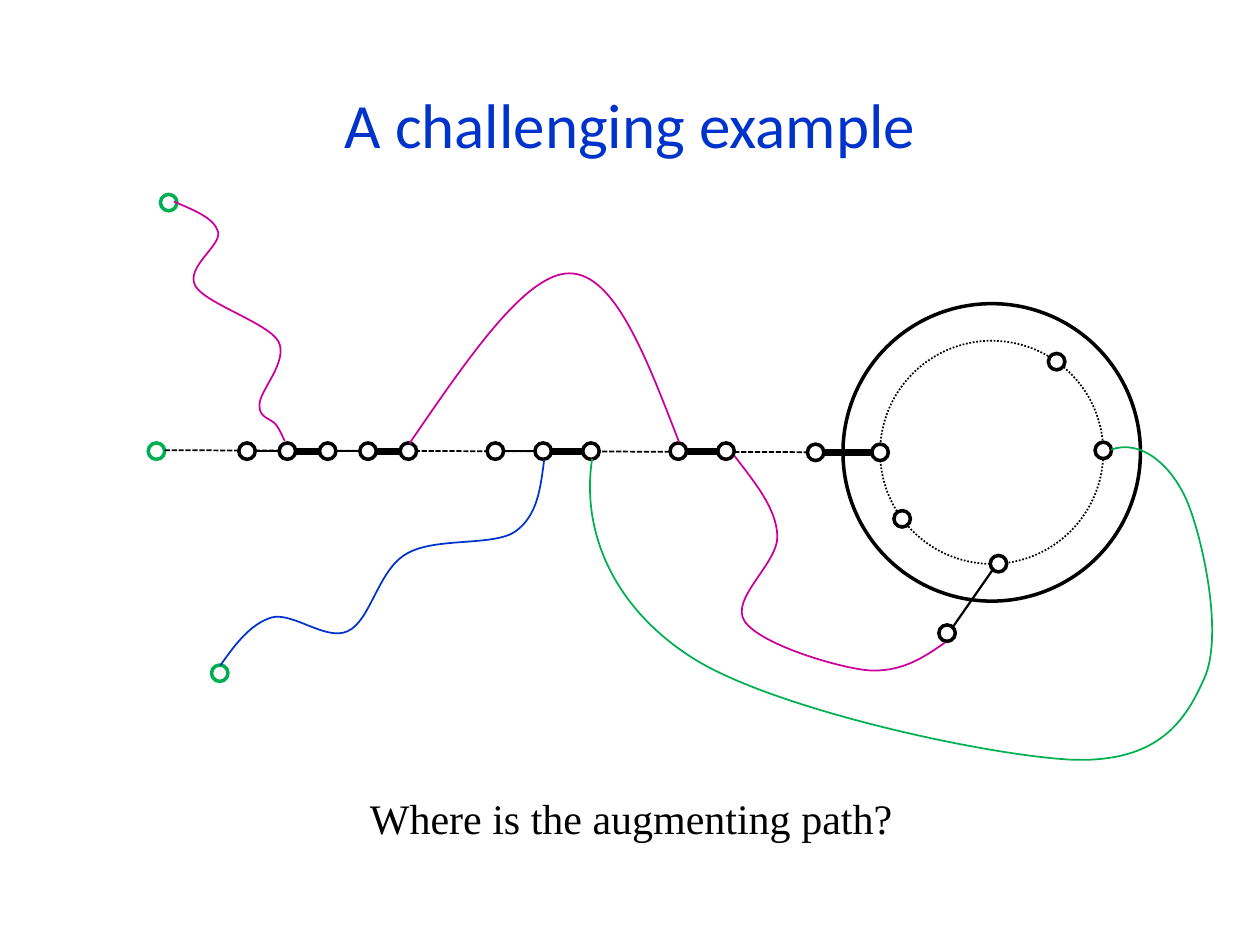
from math import cos, radians, sin

from pptx import Presentation
from pptx import util as u
from pptx.dml.color import RGBColor
from pptx.enum import dml, shapes, text
from pptx.oxml.ns import qn
from pptx.oxml.xmlchemy import OxmlElement

INK = {"black": "000000", "white": "FFFFFF", "blue": "0033CC",
       "green": "00B050", "pink": "CC0099"}
NODE = 9.4
DOT = dml.MSO_LINE.ROUND_DOT
DASH = dml.MSO_LINE.SQUARE_DOT

CURVES = [
    ("pink", [(82.7, 152), (81.3, 149.1), (79.8, 145.5), (77.7, 142.6),
              (74.8, 139), (67.6, 139), (68.3, 131.1),
              (68.3, 123.2), (84.9, 106.6), (79.1, 95.1),
              (72.6, 84.3), (37.4, 73.5), (31.6, 63.4),
              (25.8, 52.6), (46.7, 40.4), (44.6, 32.5),
              (42.4, 24.6), (30.9, 20.2), (19.4, 15.2)]),
    ("pink", [(154, 153.4), (187.1, 105.2), (220.2, 56.2), (245.4, 56.2),
              (271.4, 56.2), (289.4, 104.5), (308.1, 152.7)]),
    ("blue", [(46, 280.2), (54.6, 267.9), (63.3, 256.4), (75.5, 252.8),
              (87.8, 249.9), (106.5, 266.5), (118.7, 260.7),
              (131.7, 255), (136, 226.2), (151.8, 216.8),
              (167.7, 206.7), (201.5, 212.5), (214.5, 203.8),
              (227.4, 194.5), (228.9, 178.6), (231, 162.8)]),
    ("pink", [(460, 267.2), (447.8, 275.8), (434.8, 284.5), (415.4, 283),
              (396.6, 280.9), (354.2, 267.9), (345.5, 255),
              (336.9, 242), (365, 221.8), (364.2, 206),
              (363.5, 190.2), (351.3, 175.8), (339.8, 160.6)]),
    ("green", [(258.4, 162.1), (251.9, 203.8), (270.6, 247.8), (316.7, 276.6),
               (362.8, 305.4), (484.5, 332), (533.4, 334.2),
               (582.4, 335.6), (597.5, 311.8), (608.3, 287.4),
               (619.1, 262.9), (607.6, 209.6), (599, 188),
               (590.3, 166.4), (572.3, 150.6), (555, 157)]),
]


def tint(name):
    """Return the named colour."""
    return RGBColor.from_string(INK[name])


def apply(item, **look):
    """Set attributes of an object from a dict."""
    for key, val in look.items():
        setattr(item, key, val)


def stroke(item, ink, wide, dash=None):
    """Format the line of a shape or connector."""
    item.line.color.rgb = tint(ink)
    apply(item.line, width=u.Pt(wide), dash_style=dash)


def disc(slide, x, y, size, wide=2, ink="black", fill=None, dash=None):
    """Draw a circle round a centre."""
    left, top = x - size / 2, y - size / 2
    item = slide.shapes.add_shape(shapes.MSO_SHAPE.OVAL,
                                  *map(u.Pt, (left, top, size, size)))
    item.shadow.inherit = False
    if fill:
        item.fill.solid()
        item.fill.fore_color.rgb = tint(fill)
    else:
        item.fill.background()
    stroke(item, ink, wide, dash)


def node(slide, x, y, ink="black"):
    """Draw a graph vertex."""
    disc(slide, x, y, NODE, ink=ink, fill="white")


def edge(slide, x1, y1, x2, y2, wide, dash=None):
    """Draw a straight graph edge."""
    item = slide.shapes.add_connector(shapes.MSO_CONNECTOR.STRAIGHT,
                                      *map(u.Pt, (x1, y1, x2, y2)))
    item._element.spPr.append(OxmlElement("a:effectLst"))
    stroke(item, "black", wide, dash)


def curve(slide, box, ink, points):
    """Draw a chain of cubic curves through control points."""
    spots = [(u.Pt(box[0] + x), u.Pt(box[1] + y)) for x, y in points]
    pen = slide.shapes.build_freeform(*spots[0])
    pen.add_line_segments(spots[1:], close=False)
    item = pen.convert_to_shape()
    item.shadow.inherit = False
    item.fill.background()
    stroke(item, ink, 1)
    steps = list(item._element.iter(qn("a:lnTo")))
    for i in range(0, len(steps), 3):
        bend = OxmlElement("a:cubicBezTo")
        steps[i].addprevious(bend)
        for step in steps[i:i + 3]:
            bend.append(step[0])
            step.getparent().remove(step)


def label(item, box, words, face, size, ink):
    """Place and format a centred line of text."""
    apply(item, **dict(zip(("left", "top", "width", "height"), map(u.Pt, box))))
    frame = item.text_frame
    frame.text = words
    apply(frame, word_wrap=True, vertical_anchor=text.MSO_ANCHOR.MIDDLE,
          auto_size=text.MSO_AUTO_SIZE.SHAPE_TO_FIT_TEXT, margin_left=0,
          margin_right=0, margin_top=0, margin_bottom=0)
    para = frame.paragraphs[0]
    para.alignment = text.PP_ALIGN.CENTER
    font = para.runs[0].font
    apply(font, name=face, size=u.Pt(size))
    font.color.rgb = tint(ink)


def ring(slide, box):
    """Draw the odd cycle with its stem and its outer vertex."""
    left, top, size = box
    x, y, inner = left + size / 2, top + size / 2, size * 0.75
    disc(slide, x, y, size)
    disc(slide, x, y, inner, wide=1, dash=DOT)
    for turn in (143.4, -54.4, -1, 86.5, 180):
        node(slide, x + inner / 2 * cos(radians(turn)),
             y + inner / 2 * sin(radians(turn)))
    stem = left - 15.6
    node(slide, stem, y)
    edge(slide, x - inner / 2 - NODE / 2, y, stem + NODE / 2, y, 4)
    node(slide, left + 59.5, top + 188.3)
    edge(slide, left + 62.6, top + 185.1, left + 85.7, top + 151.9, 1.25)


def chain(slide, box):
    """Draw the row of vertices with thin and thick edges."""
    left, y, width = box
    node(slide, left, y, "green")
    edge(slide, left + NODE / 2, y - 0.5, left + width, y + 0.6, 1, DASH)
    runs = [(51.8, 23.04, (1.25, 4, 1.25, 4)), (193.7, 27.3, (1.25, 4)),
            (298.2, 27.3, (4,))]
    for start, gap, wides in runs:
        for i in range(len(wides) + 1):
            node(slide, left + start + i * gap, y)
        for i, wide in enumerate(wides):
            x = left + start + i * gap
            edge(slide, x + NODE / 2, y, x + gap - NODE / 2, y, wide)


def paths(slide, box):
    """Draw the winding paths and their free end vertices."""
    for x, y in ((16.4, 15.8), (45.6, 284.7)):
        node(slide, box[0] + x, box[1] + y, "green")
    for ink, points in CURVES:
        curve(slide, box, ink, points)


def main():
    """Build and save the slide."""
    deck = Presentation()
    apply(deck, slide_width=u.Pt(720), slide_height=u.Pt(540))
    slide = deck.slides.add_slide(deck.slide_layouts[5])
    label(slide.shapes.title, (0, 48.2, 720, 44), "A challenging example",
          "Calibri", 36, "blue")
    box = (0.7, 449.3, 720, 36)
    label(slide.shapes.add_textbox(*map(u.Pt, box)), box,
          "Where is the augmenting path?", "Times New Roman", 24, "black")
    ring(slide, (481.7, 173.5, 170))
    chain(slide, (89.4, 257.8, 372))
    paths(slide, (80, 100))
    deck.save("out.pptx")


if __name__ == "__main__":
    main()
